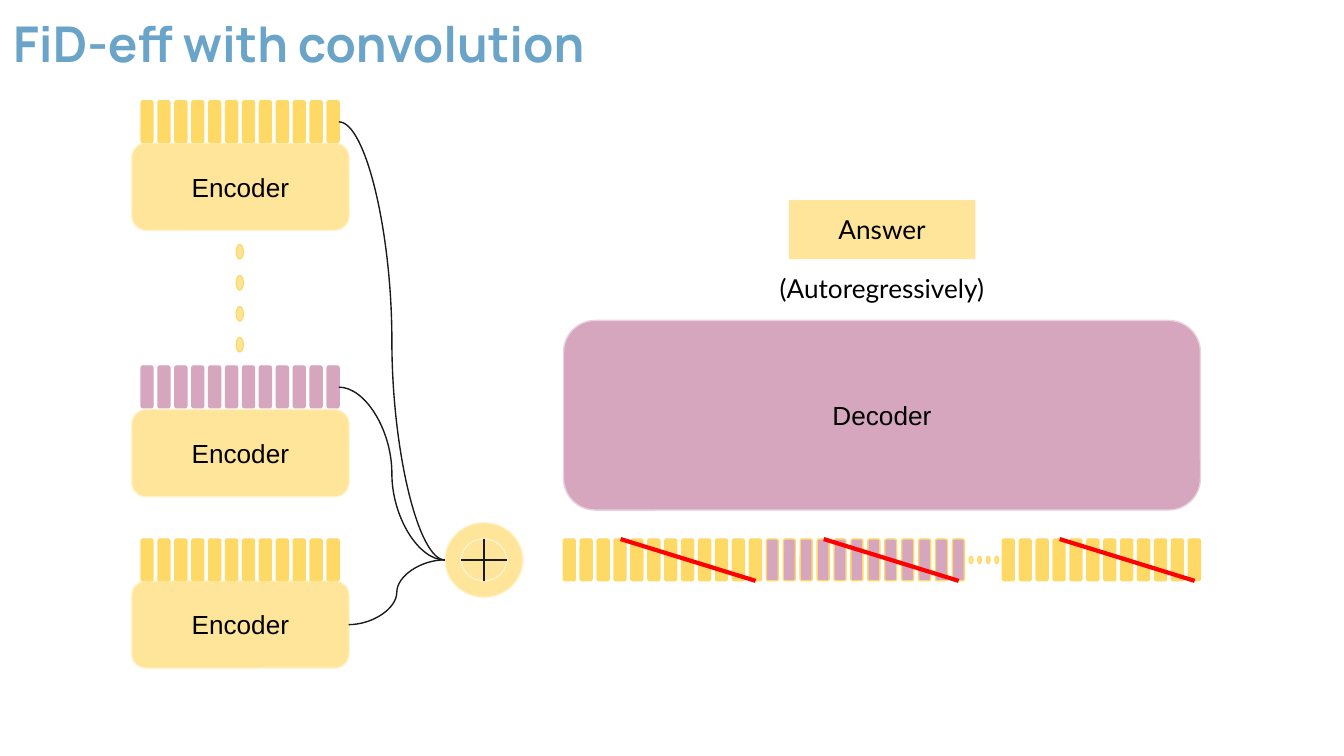
from lxml.etree import SubElement
from pptx import Presentation
from pptx.dml.color import RGBColor
from pptx.enum.shapes import MSO_CONNECTOR as Connector, MSO_SHAPE as Shape
from pptx.enum.text import MSO_ANCHOR as Anchor, PP_ALIGN as Align
from pptx.oxml.ns import qn
from pptx.util import Pt

CREAM = RGBColor(0xFF, 0xE5, 0x99)
PALE = RGBColor(0xFF, 0xF2, 0xCC)
GOLD = RGBColor(0xFF, 0xD9, 0x66)
MAUVE = RGBColor(0xD5, 0xA6, 0xBD)
LIGHT_MAUVE = RGBColor(0xEA, 0xD1, 0xDC)
BLUE = RGBColor(0x6A, 0xA4, 0xC8)
INK = RGBColor(0x1A, 0x1A, 0x1A)
BLACK = RGBColor(0, 0, 0)
RED = RGBColor(0xFF, 0, 0)

TOKENS = 12
TOKEN_PITCH = 9.06
TOKEN_HEIGHT = 22.4
TOKEN_ROW = 288.8
ENCODER_LEFT = 70.5
ENCODER_TOKENS_LEFT = 75.6
SUM_LEFT, SUM_MIDDLE = 238.4, 300


class Diagram:
    frame_format = dict(word_wrap=True, margin_left=Pt(7.2), margin_right=Pt(7.2),
                        margin_top=Pt(7.2), margin_bottom=Pt(7.2))
    font_format = dict(name="Arial", size=Pt(14), bold=False)

    def __init__(self, slide):
        self.shapes = slide.shapes

    def caption(self, holder, text, color=BLACK, align=Align.CENTER, anchor=Anchor.MIDDLE, **font_changes):
        """Put formatted text into an existing shape or text box."""
        frame = holder.text_frame
        for name, value in {**self.frame_format, "vertical_anchor": anchor}.items():
            setattr(frame, name, value)
        paragraph = frame.paragraphs[0]
        paragraph.alignment = align
        run = paragraph.add_run()
        run.text = text
        for name, value in {**self.font_format, **font_changes}.items():
            setattr(run.font, name, value)
        run.font.color.rgb = color

    def label(self, box, text, **style):
        self.caption(self.shapes.add_textbox(*map(Pt, box)), text, anchor=Anchor.TOP, **style)

    def block(self, kind, box, fill, outline=None):
        block = self.shapes.add_shape(kind, *map(Pt, box))
        block.shadow.inherit = False
        block.fill.solid()
        block.fill.fore_color.rgb = fill
        if outline is None:
            block.line.fill.background()
        else:
            block.line.color.rgb = outline
            block.line.width = Pt(0.75)
        return block

    def link(self, start, end, kind=Connector.STRAIGHT, color=INK, width=0.75):
        link = self.shapes.add_connector(kind, *map(Pt, (*start, *end)))
        link.line.color.rgb = color
        link.line.width = Pt(width)
        SubElement(link._element.spPr, qn("a:effectLst"))

    def tokens(self, left, top, fill, outline):
        for index in range(TOKENS):
            box = (left + index * TOKEN_PITCH, top, 6.4, TOKEN_HEIGHT)
            self.block(Shape.ROUNDED_RECTANGLE, box, fill, outline)

    def dots(self, left, top, size, step_x=0, step_y=0):
        for index in range(4):
            box = (left + index * step_x, top + index * step_y, *size)
            self.block(Shape.OVAL, box, CREAM, GOLD)

    def encoder(self, top, tokens_top, fill):
        encoder = self.block(Shape.ROUNDED_RECTANGLE, (ENCODER_LEFT, top, 116.6, 46.8), CREAM, PALE)
        self.caption(encoder, "Encoder")
        self.tokens(ENCODER_TOKENS_LEFT, tokens_top, fill, fill)

    def sum_node(self):
        self.block(Shape.OVAL, (SUM_LEFT, 280, 41.8, 40), CREAM, PALE)
        self.block(Shape.OVAL, (247, TOKEN_ROW, 24.5, TOKEN_HEIGHT), CREAM, PALE)
        self.link((259.3, TOKEN_ROW), (259.3, TOKEN_ROW + TOKEN_HEIGHT))
        self.link((247, SUM_MIDDLE), (271.5, SUM_MIDDLE))


def main():
    deck = Presentation()
    deck.slide_width, deck.slide_height = Pt(720), Pt(405)
    diagram = Diagram(deck.slides.add_slide(deck.slide_layouts[6]))

    diagram.label((0, 0, 605.5, 54), "FiD-eff with convolution", color=BLUE,
                  align=Align.LEFT, name="Manrope", size=Pt(26.4), bold=True)

    for top, tokens_top, fill in ((76.6, 54, GOLD), (219.4, 196.1, MAUVE), (311.2, TOKEN_ROW, GOLD)):
        diagram.encoder(top, tokens_top, fill)
    diagram.dots(126.6, 131, (3.8, 7.8), step_y=16.6)

    diagram.sum_node()
    for source in ((181.6, 65.3), (181.6, 207.4), (186.8, 334.7)):
        diagram.link(source, (SUM_LEFT, SUM_MIDDLE), Connector.CURVE)

    passages = ((301.8, GOLD), (410.6, MAUVE), (537, GOLD))
    for left, fill in passages:
        diagram.tokens(left, TOKEN_ROW, fill, GOLD)
    diagram.dots(519.2, 298.1, (2, 3.8), step_x=4.6)

    decoder = diagram.block(Shape.ROUNDED_RECTANGLE, (301.9, 171.7, 341.2, 101.6), MAUVE, LIGHT_MAUVE)
    diagram.caption(decoder, "Decoder")
    answer = diagram.block(Shape.RECTANGLE, (422.6, 107.2, 100, 31.6), CREAM)
    diagram.caption(answer, "Answer", anchor=Anchor.TOP, name="Lato")
    diagram.label((389, 138.8, 167, 31.6), "(Autoregressively)", name="Lato")

    for left, _ in passages:
        strike = left + 30.7
        diagram.link((strike, TOKEN_ROW), (strike + 72.3, TOKEN_ROW + TOKEN_HEIGHT), color=RED, width=2.25)

    deck.save("out.pptx")


if __name__ == "__main__":
    main()
